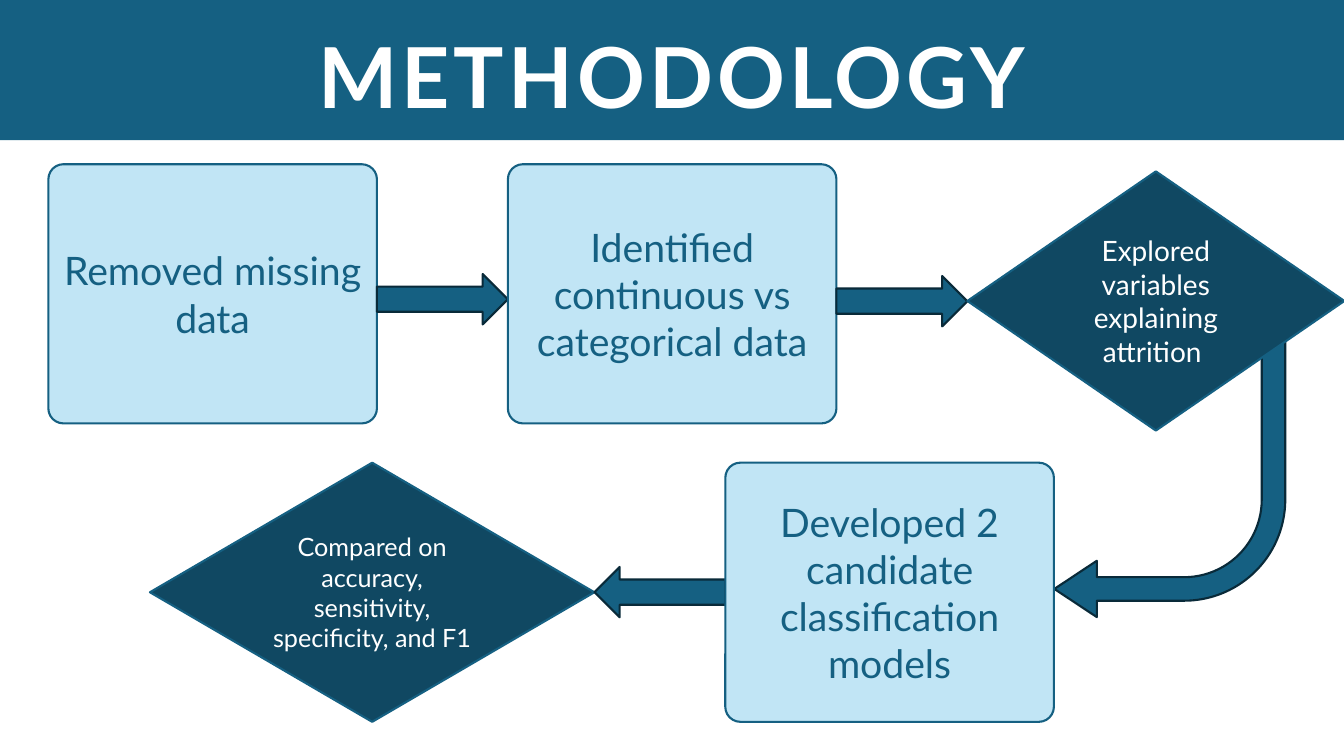
"""Build the methodology slide: a two-row flow of boxes, decisions and arrows."""
from dataclasses import dataclass

from pptx import Presentation
from pptx.dml.color import RGBColor
from pptx.enum.shapes import MSO_SHAPE
from pptx.enum.text import MSO_ANCHOR, MSO_AUTO_SIZE, PP_ALIGN
from pptx.util import Cm, Pt

TITLE = "METHODOLOGY"
ROWS = [
    {"left": 1.22, "axes": [7.54, 7.59], "turn": 0, "steps": [
        ("box", 4.14, "Removed missing data"),
        ("box", 4.14, "Identified continuous vs categorical data"),
        ("explore", 4.32, "Explored variables explaining attrition "),
    ]},
    {"left": 3.78, "axes": [14.92], "turn": 180, "steps": [
        ("compare", 11.66, "Compared on accuracy, sensitivity, specificity, and F1"),
        ("box", 11.66, "Developed 2 candidate classification models"),
    ]},
]
BEND = (26.57, 8.18, 5.82, 7.37)
BENDS = [0.102, 0.122, 0.184, 0.438]
TALL, GAP, THICK = 6.53, 3.3, 1.27


@dataclass(frozen=True)
class Theme:
    """Hold the colours, font and type sizes."""
    teal: str = "156082"
    pale: str = "C1E5F5"
    deep: str = "104862"
    edge: str = "092A39"
    white: str = "FFFFFF"
    font: str = "Lato"
    head: int = 60
    large: int = 28
    mid: int = 20
    small: int = 18
    line: float = 1.5


LOOK = Theme()
KINDS = {
    "box": (MSO_SHAPE.ROUNDED_RECTANGLE, 8.28, LOOK.pale, LOOK.teal, LOOK.large, [0.058]),
    "explore": (MSO_SHAPE.FLOWCHART_DECISION, 9.5, LOOK.deep, LOOK.white, LOOK.mid, []),
    "compare": (MSO_SHAPE.FLOWCHART_DECISION, 11.2, LOOK.deep, LOOK.white, LOOK.small, []),
}


def apply(item, values):
    """Set each named value on an item."""
    for name, value in values.items():
        setattr(item, name, value)


def write(shape, text, size, color, anchor=MSO_ANCHOR.MIDDLE, bold=False):
    """Put one centred paragraph in a shape and return its run."""
    frame = shape.text_frame
    apply(frame, {"word_wrap": True, "vertical_anchor": anchor,
                  "auto_size": MSO_AUTO_SIZE.NONE})
    para = frame.paragraphs[0]
    para.alignment = PP_ALIGN.CENTER
    run = para.add_run()
    run.text = text
    apply(run.font, {"name": LOOK.font, "size": Pt(size), "bold": bold})
    run.font.color.rgb = RGBColor.from_string(color)
    return run


def draw(slide, form, place, fill, line=None, adjust=(), turn=0):
    """Add one filled shape, with an outline when a line colour is given."""
    shape = slide.shapes.add_shape(form, *map(Cm, place))
    shape.shadow.inherit = False
    shape.rotation = turn
    shape.fill.solid()
    shape.fill.fore_color.rgb = RGBColor.from_string(fill)
    if line:
        shape.line.color.rgb = RGBColor.from_string(line)
        shape.line.width = Pt(LOOK.line)
    else:
        shape.line.fill.background()
    for index, value in enumerate(adjust):
        shape.adjustments[index] = value
    return shape


def header(slide):
    """Add the band and set the title over it."""
    band = draw(slide, MSO_SHAPE.RECTANGLE, (0, 0, 33.87, 3.53), LOOK.teal)
    title = slide.shapes.title
    title._element.addprevious(band._element)
    apply(title, {"left": Cm(4.23), "top": Cm(1.19),
                  "width": Cm(25.4), "height": Cm(2.13)})
    run = write(title, TITLE, LOOK.head, LOOK.white, MSO_ANCHOR.BOTTOM, True)
    run._r.get_or_add_rPr().set("spc", "300")
    title.text_frame.paragraphs[0].line_spacing = 0.9


def flow(slide, row):
    """Lay out a row of steps with an arrow in each gap."""
    left = row["left"]
    for index, (kind, top, text) in enumerate(row["steps"]):
        form, wide, fill, ink, size, adjust = KINDS[kind]
        if index:
            axis = row["axes"][index - 1]
            draw(slide, MSO_SHAPE.RIGHT_ARROW, (left - GAP, axis - THICK / 2, GAP, THICK),
                 LOOK.teal, LOOK.edge, turn=row["turn"])
        step = draw(slide, form, (left, top, wide, TALL), fill, LOOK.teal, adjust)
        write(step, text, size, ink)
        left += wide + GAP


def main():
    """Build and save the slide."""
    deck = Presentation()
    apply(deck, {"slide_width": Cm(33.87), "slide_height": Cm(19.05)})
    slide = deck.slides.add_slide(deck.slide_layouts[5])
    header(slide)
    draw(slide, MSO_SHAPE.BENT_ARROW, BEND, LOOK.teal, LOOK.edge, BENDS, 180)
    for row in ROWS:
        flow(slide, row)
    deck.save("out.pptx")


if __name__ == "__main__":
    main()
